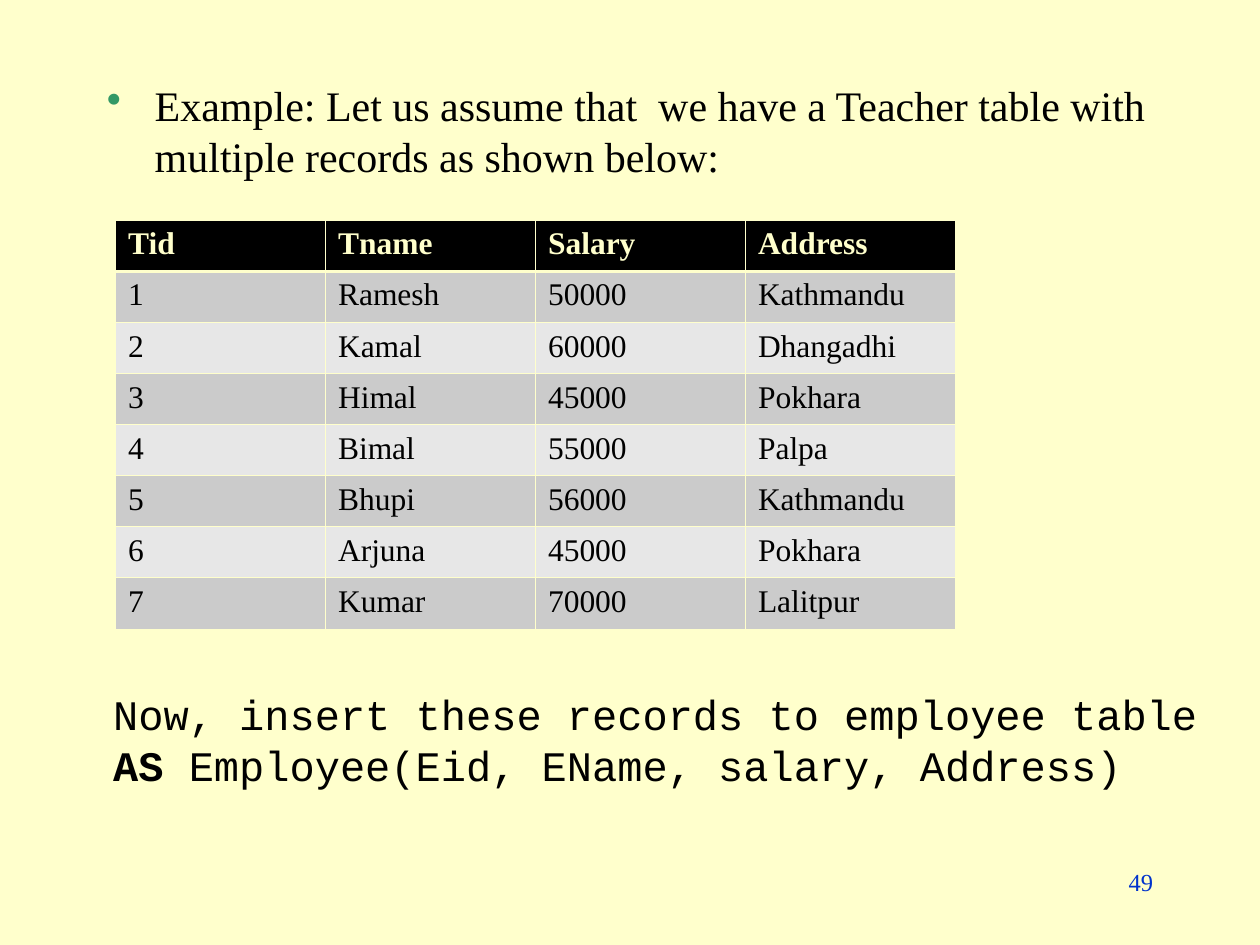
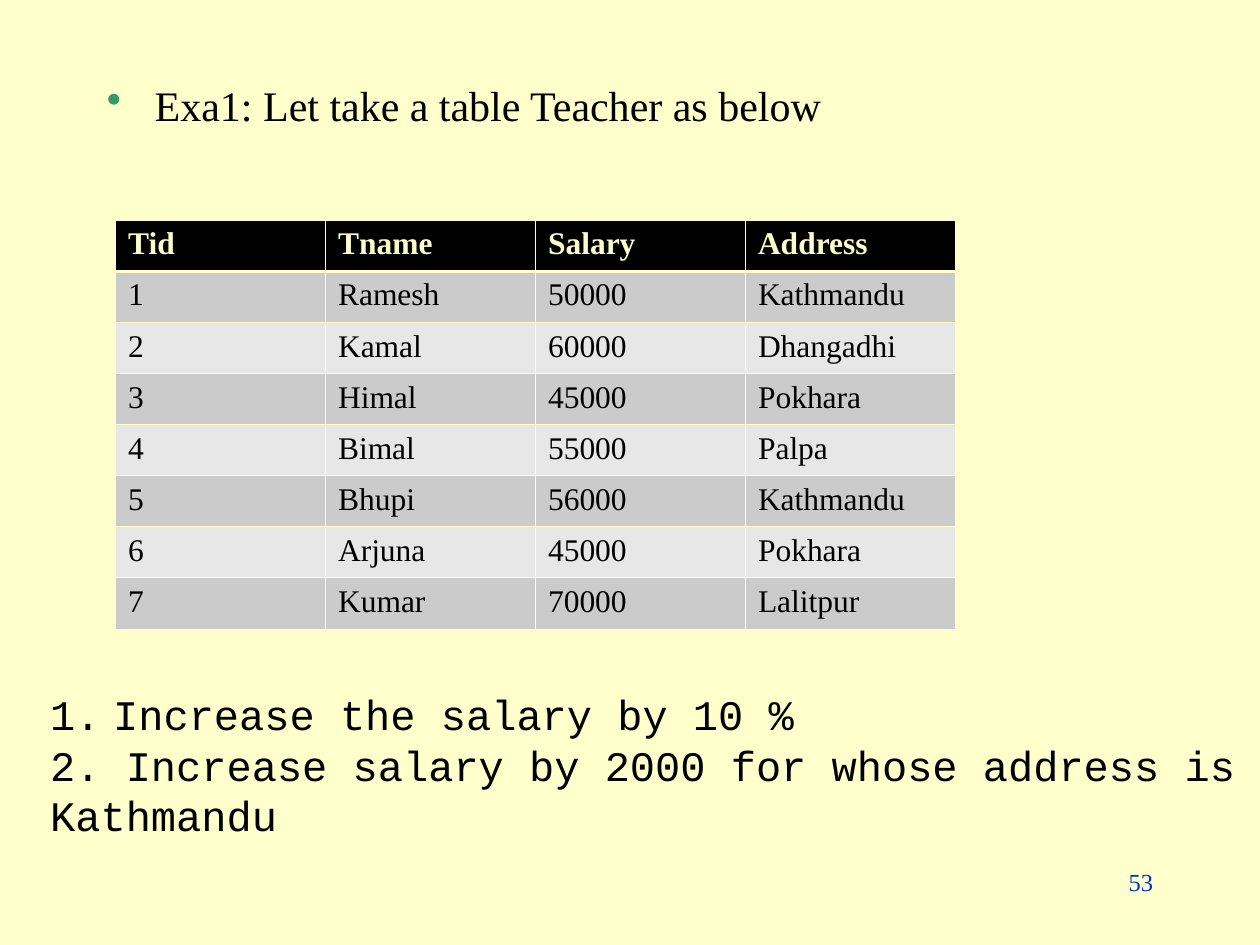
from lxml import etree
from pptx import Presentation
from pptx.dml.color import RGBColor
from pptx.enum.text import PP_ALIGN
from pptx.oxml.ns import qn
from pptx.util import Inches, Pt

RIGHT = PP_ALIGN.RIGHT
CREAM = RGBColor(0xFF, 0xFF, 0xCC)
BLACK = RGBColor(0x00, 0x00, 0x00)
GREEN = RGBColor(0x33, 0x99, 0x66)
BLUE = RGBColor(0x00, 0x33, 0xCC)
DARK_BAND = RGBColor(0xCB, 0xCB, 0xCB)
LIGHT_BAND = RGBColor(0xE7, 0xE7, 0xE7)

GRID_COLUMNS, GRID_ROWS = 120, 90
BLANK_LAYOUT = 6
LINE_SPACING = Pt(28.8)
THIN, THICK = Pt(0.45), Pt(1.47)

BODY = {"name": "Times New Roman", "size": Pt(24)}
CODE = {"name": "Courier New", "size": Pt(24)}
CELL = {"name": "Times New Roman", "size": Pt(18)}
HEADER = {**CELL, "bold": True}
NUMBER = {"name": "Times New Roman", "size": Pt(14)}

TEACHERS = [
    ("Tid", "Tname", "Salary", "Address"),
    ("1", "Ramesh", "50000", "Kathmandu"),
    ("2", "Kamal", "60000", "Dhangadhi"),
    ("3", "Himal", "45000", "Pokhara"),
    ("4", "Bimal", "55000", "Palpa"),
    ("5", "Bhupi", "56000", "Kathmandu"),
    ("6", "Arjuna", "45000", "Pokhara"),
    ("7", "Kumar", "70000", "Lalitpur"),
]


class Deck:
    """Holds the shared style and draws elements on the current slide."""

    def __init__(self):
        self.presentation = Presentation()
        self.presentation.slide_width = Inches(10)
        self.presentation.slide_height = Inches(7.5)
        self.slide = None

    def add_slide(self):
        layout = self.presentation.slide_layouts[BLANK_LAYOUT]
        self.slide = self.presentation.slides.add_slide(layout)
        fill = self.slide.background.fill
        fill.solid()
        fill.fore_color.rgb = CREAM

    def place(self, left, top, width, height):
        column = self.presentation.slide_width / GRID_COLUMNS
        row = self.presentation.slide_height / GRID_ROWS
        return (round(left * column), round(top * row),
                round(width * column), round(height * row))

    def add_text(self, paragraph, text, style, color=BLACK):
        run = paragraph.add_run()
        run.text = text
        for attribute, value in style.items():
            setattr(run.font, attribute, value)
        run.font.color.rgb = color

    def text_box(self, *area):
        frame = self.slide.shapes.add_textbox(*self.place(*area)).text_frame
        frame.word_wrap = True
        return frame

    def hang(self, paragraph, indent):
        properties = paragraph._p.get_or_add_pPr()
        properties.set("marL", str(indent))
        properties.set("indent", str(-indent))
        return properties

    def bullet(self, paragraph, indent, color, tag, **attributes):
        properties = self.hang(paragraph, indent)
        bullet_color = etree.SubElement(properties, qn("a:buClr"))
        etree.SubElement(bullet_color, qn("a:srgbClr"), val=str(color))
        etree.SubElement(properties, qn(tag), **attributes)

    def lead(self, text):
        paragraph = self.text_box(9, 7, 102, 73).paragraphs[0]
        self.bullet(paragraph, Inches(0.38), GREEN, "a:buChar", char="•")
        paragraph.line_spacing = LINE_SPACING
        self.add_text(paragraph, text, BODY)

    def page_number(self, number):
        paragraph = self.text_box(86, 82, 25, 6).paragraphs[0]
        paragraph.alignment = RIGHT
        self.add_text(paragraph, str(number), NUMBER, BLUE)

    def border(self, cell, side, width):
        properties = cell._tc.get_or_add_tcPr()
        line = etree.SubElement(properties, qn(f"a:ln{side}"), w=str(width))
        fill = etree.SubElement(line, qn("a:solidFill"))
        etree.SubElement(fill, qn("a:srgbClr"), val=str(CREAM))

    def table(self, records):
        area = self.place(11, 21, 80, 38.9)
        table = self.slide.shapes.add_table(
            len(records), len(records[0]), *area).table
        for index, record in enumerate(records):
            if index == 0:
                style, color, band = HEADER, CREAM, BLACK
            else:
                style, color = CELL, BLACK
                band = DARK_BAND if index % 2 else LIGHT_BAND
            widths = {"L": THIN, "R": THIN,
                      "T": THICK if index == 1 else THIN,
                      "B": THICK if index == 0 else THIN}
            for column, value in enumerate(record):
                cell = table.cell(index, column)
                for side, width in widths.items():
                    self.border(cell, side, width)
                cell.fill.solid()
                cell.fill.fore_color.rgb = band
                self.add_text(cell.text_frame.paragraphs[0], value, style, color)

    def task(self, left, width, lines):
        frame = self.text_box(left, 65, width, 15.6)
        paragraphs = []
        for index, runs in enumerate(lines):
            paragraph = frame.add_paragraph() if index else frame.paragraphs[0]
            paragraph.line_spacing = LINE_SPACING
            for text, bold in runs:
                self.add_text(paragraph, text, {**CODE, "bold": bold})
            paragraphs.append(paragraph)
        return paragraphs

    def numbered_task(self, left, width, lines):
        first, *others = self.task(
            left, width, [[(line, False)] for line in lines])
        indent = Inches(0.5)
        self.bullet(first, indent, BLACK, "a:buAutoNum", type="arabicPeriod")
        for paragraph in others:
            self.hang(paragraph, indent)

    def teacher_slide(self, lead, number):
        self.add_slide()
        self.lead(lead)
        self.page_number(number)
        self.table(TEACHERS)


def main():
    deck = Deck()
    deck.teacher_slide("Example: Let us assume that  we have a Teacher table "
                       "with multiple records as shown below:", 49)
    deck.task(9.6, 106.8, [
        [("Now, insert these records to employee table", False)],
        [("AS", True), (" Employee(Eid, EName, salary, Address)", False)],
    ])
    deck.teacher_slide("Exa1: Let take a table Teacher as below", 53)
    deck.numbered_task(3.6, 116.4, [
        "Increase the salary by 10 %",
        "2. Increase salary by 2000 for whose address is",
        "Kathmandu",
    ])
    deck.presentation.save("out.pptx")


if __name__ == "__main__":
    main()
